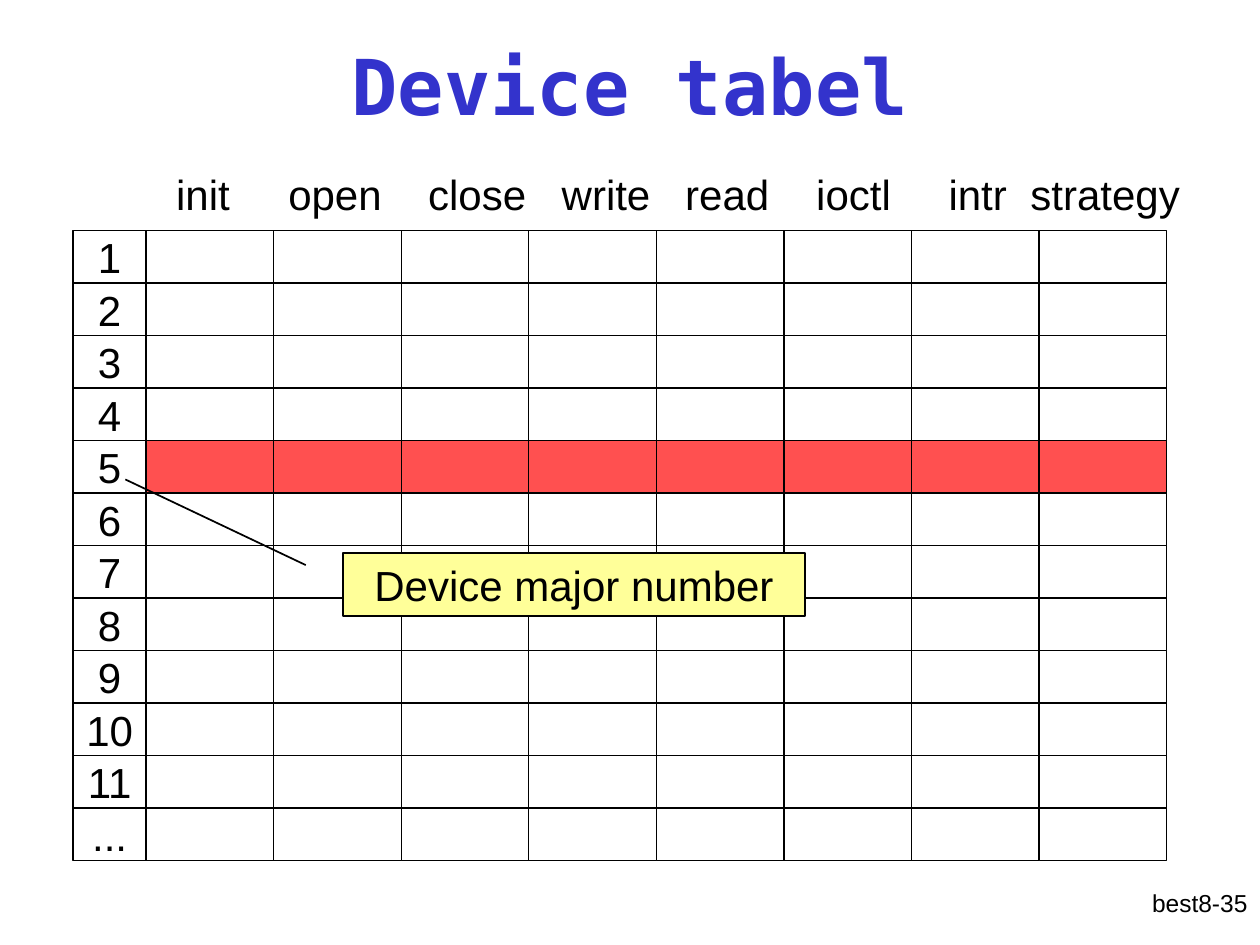
from dataclasses import dataclass

from lxml import etree
from pptx import Presentation
from pptx import util as u
from pptx.dml import color
from pptx.enum import shapes, text
from pptx.oxml import ns


@dataclass(frozen=True)
class Theme:
    body_font: str = "Arial"
    title_font: str = "DejaVu Sans Mono"
    ink: str = "000000"
    title: str = "3333CC"
    paper: str = "FFFFFF"
    highlight: str = "FF5050"
    highlight_edge: str = "FF0000"
    note: str = "FFFF99"
    title_size: int = 44
    body_size: int = 24
    footer_size: int = 14
    thin: float = 0.75
    thick: float = 1


THEME = Theme()
OPERATIONS = ["init", "open", "close", "write", "read", "ioctl", "intr", "strategy"]
OPERATION_TABS = [0.89, 2, 3.06, 4.04, 5.08, 6.13, 6.78]
MAJOR_NUMBERS = [str(number) for number in range(1, 12)] + ["..."]
SELECTED = "5"


def rgb(value):
    return color.RGBColor.from_string(value)


def inches(box):
    return [u.Inches(length) for length in box]


def set_all(target, values):
    for name, value in values.items():
        setattr(target, name, value)


def write(frame, words, align, **changes):
    para = frame.paragraphs[0]
    para.alignment = align
    span = para.add_run()
    span.text = words
    values = {"name": THEME.body_font, "size": THEME.body_size,
              "bold": False, "ink": THEME.ink} | changes
    span.font.color.rgb = rgb(values.pop("ink"))
    values["size"] = u.Pt(values["size"])
    set_all(span.font, values)


def add_text(page, box, words, align, anchor, **changes):
    frame = page.shapes.add_textbox(*inches(box)).text_frame
    set_all(frame, {"word_wrap": True, "vertical_anchor": anchor})
    write(frame, words, align, **changes)
    return frame


def add_block(parent, box, fill, edge=THEME.ink, width=THEME.thin,
              kind=shapes.MSO_SHAPE.RECTANGLE):
    block = parent.shapes.add_shape(kind, *inches(box))
    block.shadow.inherit = False
    if fill:
        block.fill.solid()
        block.fill.fore_color.rgb = rgb(fill)
    else:
        block.fill.background()
    block.line.color.rgb = rgb(edge)
    block.line.width = u.Pt(width)
    return block


def label_block(block, words, wrap):
    set_all(block.text_frame, {"word_wrap": wrap, "vertical_anchor": text.MSO_ANCHOR.MIDDLE})
    write(block.text_frame, words, text.PP_ALIGN.CENTER)


def add_title(page, box):
    add_text(page, box, "Device tabel", text.PP_ALIGN.CENTER, text.MSO_ANCHOR.MIDDLE,
             name=THEME.title_font, size=THEME.title_size, bold=True, ink=THEME.title)


def add_operations(page, box):
    frame = add_text(page, box, "\t".join(OPERATIONS),
                     text.PP_ALIGN.LEFT, text.MSO_ANCHOR.MIDDLE)
    frame.margin_right = 0
    properties = frame.paragraphs[0]._p.get_or_add_pPr()
    stops = etree.SubElement(properties, ns.qn("a:tabLst"))
    for position in OPERATION_TABS:
        etree.SubElement(stops, ns.qn("a:tab"), pos=str(u.Inches(position)), algn="l")


def add_entries(page, box):
    left, top, width, height = box
    row_height = height / len(MAJOR_NUMBERS)
    column_width = width / len(OPERATIONS)
    selected_top = top + MAJOR_NUMBERS.index(SELECTED) * row_height
    add_block(page, (left, selected_top, width, row_height),
              THEME.highlight, THEME.highlight_edge)
    for row, number in enumerate(MAJOR_NUMBERS):
        fill = None if number == SELECTED else THEME.paper
        for column in range(len(OPERATIONS)):
            add_block(page, (left + column * column_width, top + row * row_height,
                             column_width, row_height), fill)


def add_major_numbers(page, box):
    left, top, width, height = box
    row_height = height / len(MAJOR_NUMBERS)
    group = page.shapes.add_group_shape()
    for row, number in enumerate(MAJOR_NUMBERS):
        block = add_block(group, (left, top + row * row_height, width, row_height),
                          THEME.paper, width=THEME.thick)
        label_block(block, number, False)


def add_callout(page, box):
    callout = add_block(page, box, THEME.note, width=THEME.thick,
                        kind=shapes.MSO_SHAPE.LINE_CALLOUT_1)
    for index, value in enumerate([0.19, -0.08, -1.17, -0.47]):
        callout.adjustments[index] = value
    label_block(callout, "Device major number", True)


def add_footer(page, box):
    add_text(page, box, "best8-35", text.PP_ALIGN.RIGHT, text.MSO_ANCHOR.TOP,
             size=THEME.footer_size)


def main():
    deck = Presentation()
    deck.slide_width, deck.slide_height = inches((10, 7.5))
    page = deck.slides.add_slide(deck.slide_layouts[6])
    add_footer(page, (7.92, 7, 2.08, 0.5))
    add_title(page, (0.75, 0.05, 8.5, 1.25))
    add_entries(page, (1.16, 1.83, 8.1, 5))
    add_operations(page, (1.3, 1.29, 8.16, 0.5))
    add_major_numbers(page, (0.58, 1.83, 0.58, 5))
    add_callout(page, (2.72, 4.39, 3.67, 0.5))
    deck.save("out.pptx")


if __name__ == "__main__":
    main()
